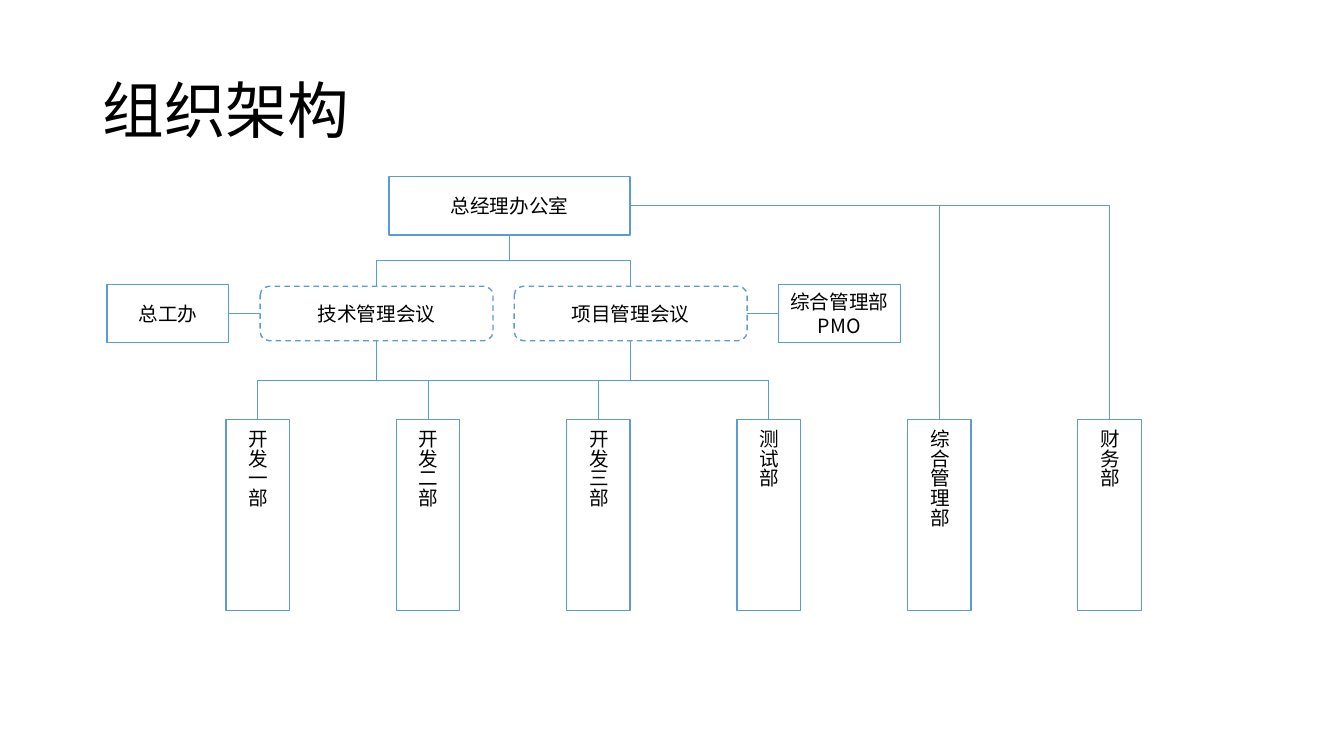
"""Build the organisation chart slide."""
import lxml.etree
import pptx
import pptx.dml.color
import pptx.enum.dml
import pptx.enum.shapes
import pptx.enum.text
import pptx.oxml.ns
import pptx.util

BLACK = pptx.dml.color.RGBColor(0x00, 0x00, 0x00)
WHITE = pptx.dml.color.RGBColor(0xFF, 0xFF, 0xFF)
BLUE = pptx.dml.color.RGBColor(0x5B, 0x9B, 0xD5)
FONT = "Noto Sans CJK SC"
CELL = pptx.util.Inches(0.1)
TOP, LEFT, BOTTOM, RIGHT = range(4)
RECT = pptx.enum.shapes.MSO_SHAPE.RECTANGLE
ROUNDED = pptx.enum.shapes.MSO_SHAPE.ROUNDED_RECTANGLE
STRAIGHT = pptx.enum.shapes.MSO_CONNECTOR.STRAIGHT
ELBOW = pptx.enum.shapes.MSO_CONNECTOR.ELBOW
DEPARTMENTS = ["开发一部", "开发二部", "开发三部", "测试部", "综合管理部", "财务部"]


def cells(*lengths):
    """Convert grid cells to slide lengths."""
    return [round(length * CELL) for length in lengths]


def write(frame, words, size):
    """Put one styled paragraph in a vertically centred frame."""
    frame.text = words
    frame.word_wrap = True
    frame.vertical_anchor = pptx.enum.text.MSO_ANCHOR.MIDDLE
    run = frame.paragraphs[0].runs[0]
    run.font.size = pptx.util.Pt(size)
    run.font.name = FONT
    run.font.color.rgb = BLACK
    east_asian = lxml.etree.SubElement(run.font._element, pptx.oxml.ns.qn("a:ea"))
    east_asian.set("typeface", FONT)


def add_unit(slide, words, box, outline=RECT, vertical=False):
    """Draw one unit of the organisation; rounded units are dashed."""
    unit = slide.shapes.add_shape(outline, *cells(*box))
    unit.shadow.inherit = False
    unit.fill.solid()
    unit.fill.fore_color.rgb = WHITE
    unit.line.color.rgb = BLUE
    unit.line.width = pptx.util.Pt(1)
    if outline == ROUNDED:
        unit.line.dash_style = pptx.enum.dml.MSO_LINE.DASH
    write(unit.text_frame, words, 14)
    unit.text_frame.paragraphs[0].alignment = pptx.enum.text.PP_ALIGN.CENTER
    if vertical:
        unit.text_frame._txBody.bodyPr.set("vert", "eaVert")
    return unit


def link(slide, upper, upper_side, lower, lower_side, kind=ELBOW):
    """Glue a thin connector between two units."""
    connector = slide.shapes.add_connector(kind, 0, 0, 0, 0)
    connector.begin_connect(upper, upper_side)
    connector.end_connect(lower, lower_side)
    connector.line.color.rgb = BLUE
    connector.line.width = pptx.util.Pt(0.5)
    lxml.etree.SubElement(connector._element.spPr, pptx.oxml.ns.qn("a:effectLst"))
    return connector


def drop(slide, upper, lower):
    """Link bottom to top with a turned elbow that leaves downwards."""
    connector = link(slide, upper, BOTTOM, lower, TOP)
    across = connector.end_x - connector.begin_x
    down = connector.end_y - connector.begin_y
    middle_x = (connector.begin_x + connector.end_x) // 2
    middle_y = (connector.begin_y + connector.end_y) // 2
    connector.left, connector.top = middle_x - down // 2, middle_y - abs(across) // 2
    connector.width, connector.height = down, abs(across)
    frame = connector._element.spPr.xfrm
    frame.flipH = across > 0
    frame.rot = 270 if across > 0 else 90


def corner(slide, upper, lower):
    """Link the right side to a top with a single bend."""
    connector = link(slide, upper, RIGHT, lower, TOP)
    geometry = connector._element.spPr.find(pptx.oxml.ns.qn("a:prstGeom"))
    geometry.set("prst", "bentConnector2")


def add_title(slide, box):
    """Write the slide title."""
    title = slide.shapes.add_textbox(*cells(*box))
    write(title.text_frame, "组织架构", 44)
    title.text_frame.paragraphs[0].line_spacing = 0.9


def add_organisation(slide, left, top, width, height):
    """Draw the units and their links inside the given box."""
    office = add_unit(slide, "总经理办公室", (left + 28, top, 23.9, 5.8))
    technical, project = [
        add_unit(slide, words, (left + 15.2 + 25.2 * place, top + 10.9, 23.1, 5.4), ROUNDED)
        for place, words in enumerate(["技术管理会议", "项目管理会议"])
    ]
    engineers, planners = [
        add_unit(slide, words, (left + offset, top + 10.7, 12.1, 5.8))
        for offset, words in [(0, "总工办"), (66.6, "综合管理部PMO")]
    ]
    unit_width, first = 6.3, 11.8
    pitch = (width - first - unit_width) / (len(DEPARTMENTS) - 1)
    departments = [
        add_unit(slide, words, (left + first + pitch * place, top + 24.1, unit_width, height - 24.1),
                 vertical=True)
        for place, words in enumerate(DEPARTMENTS)
    ]
    for meeting in (technical, project):
        drop(slide, office, meeting)
    link(slide, technical, LEFT, engineers, RIGHT, STRAIGHT)
    link(slide, project, RIGHT, planners, LEFT, STRAIGHT)
    for department in departments[4:]:
        corner(slide, office, department)
    for department in departments[:4]:
        drop(slide, technical, department)
    drop(slide, project, departments[3])


def main():
    """Build and save the slide."""
    deck = pptx.Presentation()
    deck.slide_width = pptx.util.Inches(13.33)
    deck.slide_height = pptx.util.Inches(7.5)
    slide = deck.slides.add_slide(deck.slide_layouts[6])
    add_title(slide, (9.2, 4, 115, 14.5))
    add_organisation(slide, 10.6, 17.5, 102.6, 43.1)
    deck.save("out.pptx")


if __name__ == "__main__":
    main()
